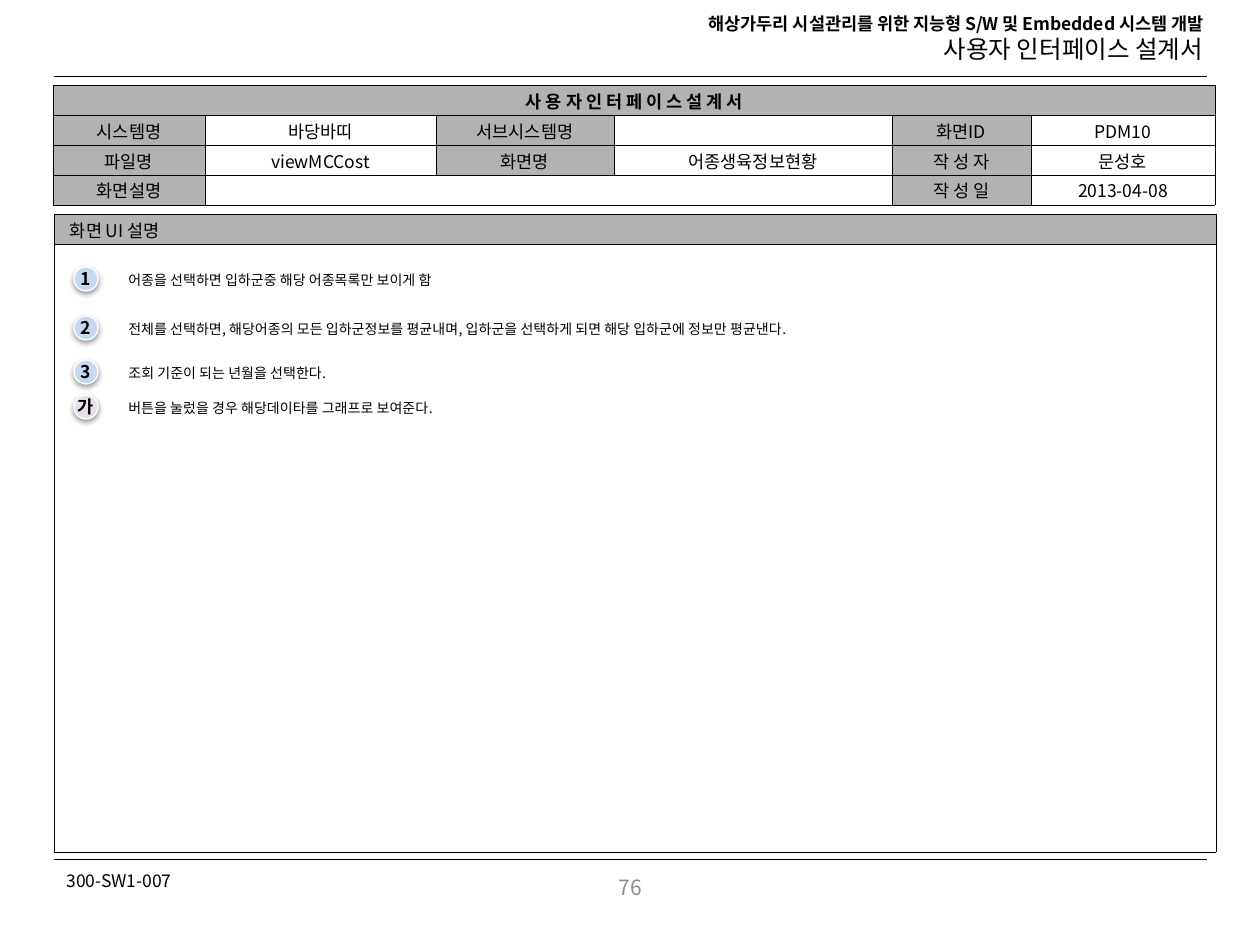
from dataclasses import dataclass

from lxml.etree import SubElement
from pptx import Presentation
from pptx.dml.color import RGBColor
from pptx.enum.shapes import MSO_CONNECTOR, MSO_SHAPE
from pptx.enum.text import MSO_ANCHOR, MSO_AUTO_SIZE, PP_ALIGN
from pptx.oxml.ns import qn
from pptx.util import Emu, Pt

FONT = "Noto Sans CJK KR"
BLACK, WHITE, GRAY, PAGE_GRAY = "000000", "FFFFFF", "B2B2B2", "8C8C8C"
BLUE, LILAC = "C6D9F1", "E6E0EC"
ROW_HEIGHT = 30
INFO_COLUMNS = [152, 231, 178, 278, 139, 184]
INFO_ROWS = [
    ["사 용 자 인 터 페 이 스 설 계 서", "", "", "", "", ""],
    ["시스템명", "바당바띠", "서브시스템명", "", "화면ID", "PDM10"],
    ["파일명", "viewMCCost", "화면명", "어종생육정보현황", "작 성 자", "문성호"],
    ["화면설명", "", "", "", "작 성 일", "2013-04-08"],
]


@dataclass
class Note:
    mark: str
    text: str
    top: int
    width: int
    fill: str = BLUE


NOTES = [
    Note("1", "어종을 선택하면 입하군중 해당 어종목록만 보이게 함", 265, 364),
    Note("2", "전체를 선택하면, 해당어종의 모든 입하군정보를 평균내며, "
              "입하군을 선택하게 되면 해당 입하군에 정보만 평균낸다.", 314, 755),
    Note("3", "조회 기준이 되는 년월을 선택한다.", 358, 247),
    Note("가", "버튼을 눌렀을 경우 해당데이타를 그래프로 보여준다.", 393, 365, LILAC),
]


def px(length: int) -> Emu:
    return Emu(round(length * 914400 / 126))


def color(value: str) -> RGBColor:
    return RGBColor.from_string(value)


def format_paragraph(para, size: int, fill: str = BLACK, bold: bool = False,
                     align=PP_ALIGN.LEFT) -> None:
    para.alignment = align
    for span in para.runs:
        span.font.size = Pt(size)
        span.font.bold = bold
        span.font.name = FONT
        span.font.color.rgb = color(fill)
        SubElement(span.font._element, qn("a:ea"), typeface=FONT)


def add_label(shapes, text: str, left: int, top: int, width: int, height: int,
              size: int, fill: str = BLACK, align=PP_ALIGN.LEFT,
              anchor=MSO_ANCHOR.TOP) -> None:
    box = shapes.add_textbox(px(left), px(top), px(width), px(height))
    frame = box.text_frame
    frame.word_wrap = True
    frame.vertical_anchor = anchor
    frame.text = text
    format_paragraph(frame.paragraphs[0], size, fill, align=align)


def add_rule(page, top: int) -> None:
    rule = page.shapes.add_connector(MSO_CONNECTOR.STRAIGHT, px(54), px(top), px(1207), px(top))
    rule.line.color.rgb = color(BLACK)
    rule.line.width = Pt(0.25)
    SubElement(rule._element.spPr, qn("a:effectLst"))


def add_grid(page, left: int, top: int, columns: list[int], rows: list[int]):
    table = page.shapes.add_table(len(rows), len(columns), px(left), px(top),
                                  px(sum(columns)), px(sum(rows))).table
    table.first_row = table.horz_banding = False
    for column, width in zip(table.columns, columns):
        column.width = px(width)
    for row, height in zip(table.rows, rows):
        row.height = px(height)
    return table


def fill_cell(cell, text: str, fill: str | None, bold: bool = False,
              align=PP_ALIGN.CENTER) -> None:
    cell.margin_left = cell.margin_right = px(16)
    cell.margin_top = cell.margin_bottom = px(3)
    cell.vertical_anchor = MSO_ANCHOR.MIDDLE
    properties = cell._tc.get_or_add_tcPr()
    for side in ("a:lnL", "a:lnR", "a:lnT", "a:lnB"):
        border = SubElement(properties, qn(side), w=str(Pt(0.25)))
        SubElement(SubElement(border, qn("a:solidFill")), qn("a:srgbClr"), val=BLACK)
    if fill:
        cell.fill.solid()
        cell.fill.fore_color.rgb = color(fill)
    else:
        cell.fill.background()
    para = cell.text_frame.paragraphs[0]
    if text:
        para.text = text
        format_paragraph(para, 10, bold=bold, align=align)
    else:
        # Keeps an empty cell from growing to the default text size.
        SubElement(para._p, qn("a:endParaRPr"), sz="1000")


def add_info_table(page) -> None:
    table = add_grid(page, 53, 85, INFO_COLUMNS, [ROW_HEIGHT] * len(INFO_ROWS))
    for row, texts in enumerate(INFO_ROWS):
        for column, text in enumerate(texts):
            shaded = row == 0 or column % 2 == 0 and text
            fill_cell(table.cell(row, column), text, GRAY if shaded else None, bold=row == 0)
    table.cell(0, 0).merge(table.cell(0, 5))
    table.cell(3, 1).merge(table.cell(3, 3))


def add_description_table(page) -> None:
    table = add_grid(page, 54, 214, [1162], [ROW_HEIGHT, 608])
    fill_cell(table.cell(0, 0), "화면 UI 설명", GRAY, align=PP_ALIGN.JUSTIFY)
    fill_cell(table.cell(1, 0), "", WHITE)


def add_soft_shadow(shape) -> None:
    shape.shadow.inherit = False
    effects = shape._element.spPr.find(qn("a:effectLst"))
    shadow = SubElement(effects, qn("a:outerShdw"), blurRad=str(Pt(3.1)), dist=str(Pt(1.6)),
                        dir="5400000", rotWithShape="0")
    tone = SubElement(shadow, qn("a:srgbClr"), val=BLACK)
    SubElement(tone, qn("a:alpha"), val="38000")


def add_note(page, note: Note) -> None:
    group = page.shapes.add_group_shape()
    badge = group.shapes.add_shape(MSO_SHAPE.OVAL, px(74), px(note.top + 2), px(24), px(24))
    badge.fill.solid()
    badge.fill.fore_color.rgb = color(note.fill)
    badge.line.color.rgb = color(WHITE)
    badge.line.width = Pt(0.75)
    add_soft_shadow(badge)
    frame = badge.text_frame
    frame.margin_left = frame.margin_right = frame.margin_top = frame.margin_bottom = 0
    frame.word_wrap = False
    frame.vertical_anchor = MSO_ANCHOR.MIDDLE
    frame.text = note.mark
    format_paragraph(frame.paragraphs[0], 10, bold=True, align=PP_ALIGN.CENTER)
    add_label(group.shapes, note.text, 116, note.top, note.width, 30, 8)


def set_header(page) -> None:
    title = page.shapes.title
    title.left, title.top, title.width, title.height = px(601), px(7), px(615), px(64)
    frame = title.text_frame
    frame.text = "해상가두리 시설관리를 위한 지능형 S/W 및 Embedded 시스템 개발\n사용자 인터페이스 설계서"
    frame.auto_size = MSO_AUTO_SIZE.NONE
    frame.vertical_anchor = MSO_ANCHOR.TOP
    project, document = frame.paragraphs
    format_paragraph(project, 10, bold=True, align=PP_ALIGN.RIGHT)
    format_paragraph(document, 14, align=PP_ALIGN.RIGHT)


def main() -> None:
    deck = Presentation()
    deck.slide_width, deck.slide_height = px(1260), px(945)
    page = deck.slides.add_slide(deck.slide_layouts[5])
    set_header(page)
    add_rule(page, 76)
    add_label(page.shapes, "300-SW1-007", 54, 864, 146, 34, 10)
    add_rule(page, 859)
    add_label(page.shapes, "76", 54, 862, 1153, 50, 12, PAGE_GRAY,
              PP_ALIGN.CENTER, MSO_ANCHOR.MIDDLE)
    add_info_table(page)
    add_description_table(page)
    for note in NOTES:
        add_note(page, note)
    deck.save("out.pptx")


if __name__ == "__main__":
    main()
